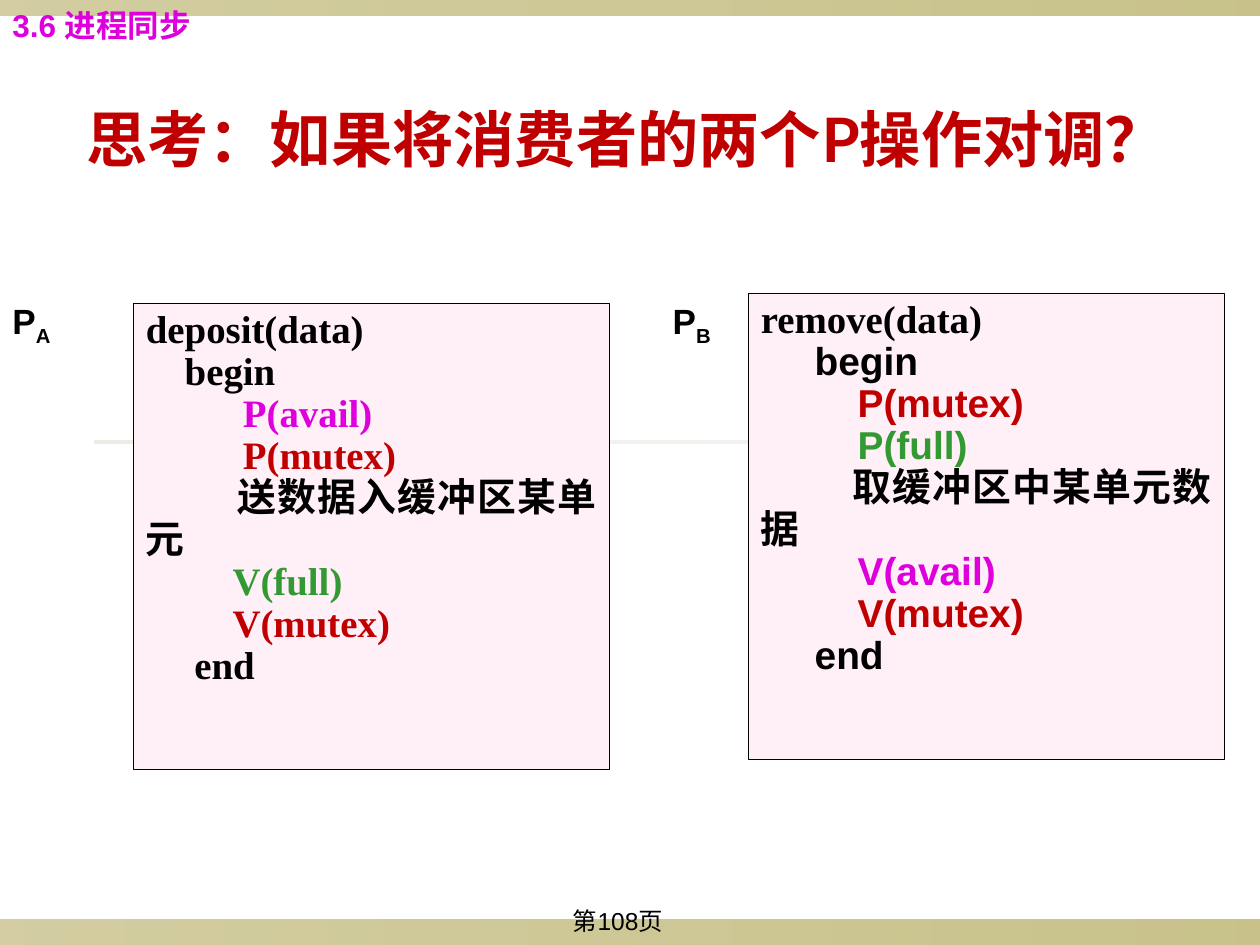
from lxml import etree
from pptx import Presentation
from pptx.dml.color import RGBColor
from pptx.enum.shapes import MSO_SHAPE
from pptx.enum.text import MSO_ANCHOR, MSO_AUTO_SIZE, PP_ALIGN
from pptx.oxml.ns import qn
from pptx.util import Inches, Pt

RECTANGLE = MSO_SHAPE.RECTANGLE
LEFT, CENTER, JUSTIFY = PP_ALIGN.LEFT, PP_ALIGN.CENTER, PP_ALIGN.JUSTIFY
TOP, MIDDLE = MSO_ANCHOR.TOP, MSO_ANCHOR.MIDDLE
NO_AUTOFIT = MSO_AUTO_SIZE.NONE

COLORS = {
    "black": "000000", "red": "C00000", "magenta": "DD00DD", "green": "339933",
    "panel": "FFEFF7", "olive": "918415", "rule": "DCD9CC",
}
SERIF, SANS, HEADING = "Times New Roman", "Arial", "Lato"


def color(name):
    return RGBColor.from_string(COLORS[name])


def write(shape, lines, font=SANS, size=18, ink="black", bold=True,
          align=LEFT, anchor=TOP, spacing=None, wrap=True):
    """Each line is a list of (text, format) runs; a format overrides the defaults."""
    frame = shape.text_frame
    frame.word_wrap = wrap
    frame.auto_size = NO_AUTOFIT
    frame.vertical_anchor = anchor
    for index, line in enumerate(lines):
        paragraph = frame.add_paragraph() if index else frame.paragraphs[0]
        paragraph.alignment = align
        if spacing:
            paragraph.line_spacing = spacing
        for text, style in line:
            run = paragraph.add_run()
            run.text = text
            run.font.name = style.get("font", font)
            run.font.size = Pt(size)
            run.font.bold = bold
            run.font.color.rgb = color(style.get("ink", ink))
            if "baseline" in style:
                run.font._element.set("baseline", str(style["baseline"]))


presentation = Presentation()
presentation.slide_width = Inches(10)
presentation.slide_height = Inches(7.5)
slide = presentation.slides.add_slide(presentation.slide_layouts[5])
shapes = slide.shapes

# Translucent bands at the bottom and top, and the rule across the middle
bands = [
    (0, 7.3, 10, 0.2, "olive", (40, 50)),
    (0, 0, 10, 0.12, "olive", (40, 50)),
    (0.75, 3.5, 8.5, 0.02, "rule", (50, 20)),
]
for left, top, width, height, tint, opacities in bands:
    band = shapes.add_shape(RECTANGLE, Inches(left), Inches(top), Inches(width), Inches(height))
    band.shadow.inherit = False
    band.line.fill.background()
    band.fill.gradient()
    band.fill.gradient_angle = 0
    for stop, opacity in zip(band.fill.gradient_stops, opacities):
        stop.color.rgb = color(tint)
    for element, opacity in zip(band._element.spPr.iter(qn("a:srgbClr")), opacities):
        etree.SubElement(element, qn("a:alpha")).set("val", str(opacity * 1000))

# Title
title = shapes.title
title.left, title.top, title.width, title.height = map(Inches, (0.47, 0.47, 9, 1.25))
write(title, [[("思考：如果将消费者的两个P操作对调？", {})]],
      font=HEADING, size=35, ink="red", align=CENTER, anchor=MIDDLE)

# Code panels
deposit_code = [
    ("deposit(data)", "black"),
    ("    begin ", "black"),
    ("          P(avail)   ", "magenta"),
    ("          P(mutex)", "red"),
    ("         送数据入缓冲区某单元 ", "black"),
    ("         V(full)", "green"),
    ("         V(mutex)", "red"),
    ("     end", "black"),
]
remove_code = [
    ("remove(data)", "black"),
    ("     begin ", "black"),
    ("         P(mutex)", "red"),
    ("         P(full)", "green"),
    ("         取缓冲区中某单元数据 ", "black"),
    ("         V(avail)", "magenta"),
    ("         V(mutex)", "red"),
    ("     end", "black"),
]
panels = [(1.06, 2.41, deposit_code, SERIF), (5.94, 2.33, remove_code, SANS)]
for left, top, code, body_font in panels:
    panel = shapes.add_shape(RECTANGLE, Inches(left), Inches(top), Inches(3.78), Inches(3.7))
    panel.shadow.inherit = False
    panel.fill.solid()
    panel.fill.fore_color.rgb = color("panel")
    panel.line.color.rgb = color("black")
    panel.line.width = Pt(0.75)
    lines = [[(text, {"ink": ink, "font": body_font if row else SERIF})]
             for row, (text, ink) in enumerate(code)]
    write(panel, lines, size=22.2, align=JUSTIFY, spacing=0.9)

# Process names, section heading and page number
labels = [
    (0, 2.33, 0.67, 0.48, [("P", {}), ("A", {"baseline": -25000})], {"size": 20}),
    (5.24, 2.33, 0.67, 0.48, [("P", {}), ("B", {"baseline": -25000})], {"size": 20}),
    (0, 0, 1.85, 0.4, [("3.6 进程同步", {})], {"ink": "magenta", "wrap": False}),
    (3.74, 7.14, 2.33, 0.36, [("第108页", {})], {"size": 14, "bold": False, "align": CENTER}),
]
for left, top, width, height, runs, style in labels:
    label = shapes.add_textbox(Inches(left), Inches(top), Inches(width), Inches(height))
    write(label, [runs], **style)

presentation.save("out.pptx")
